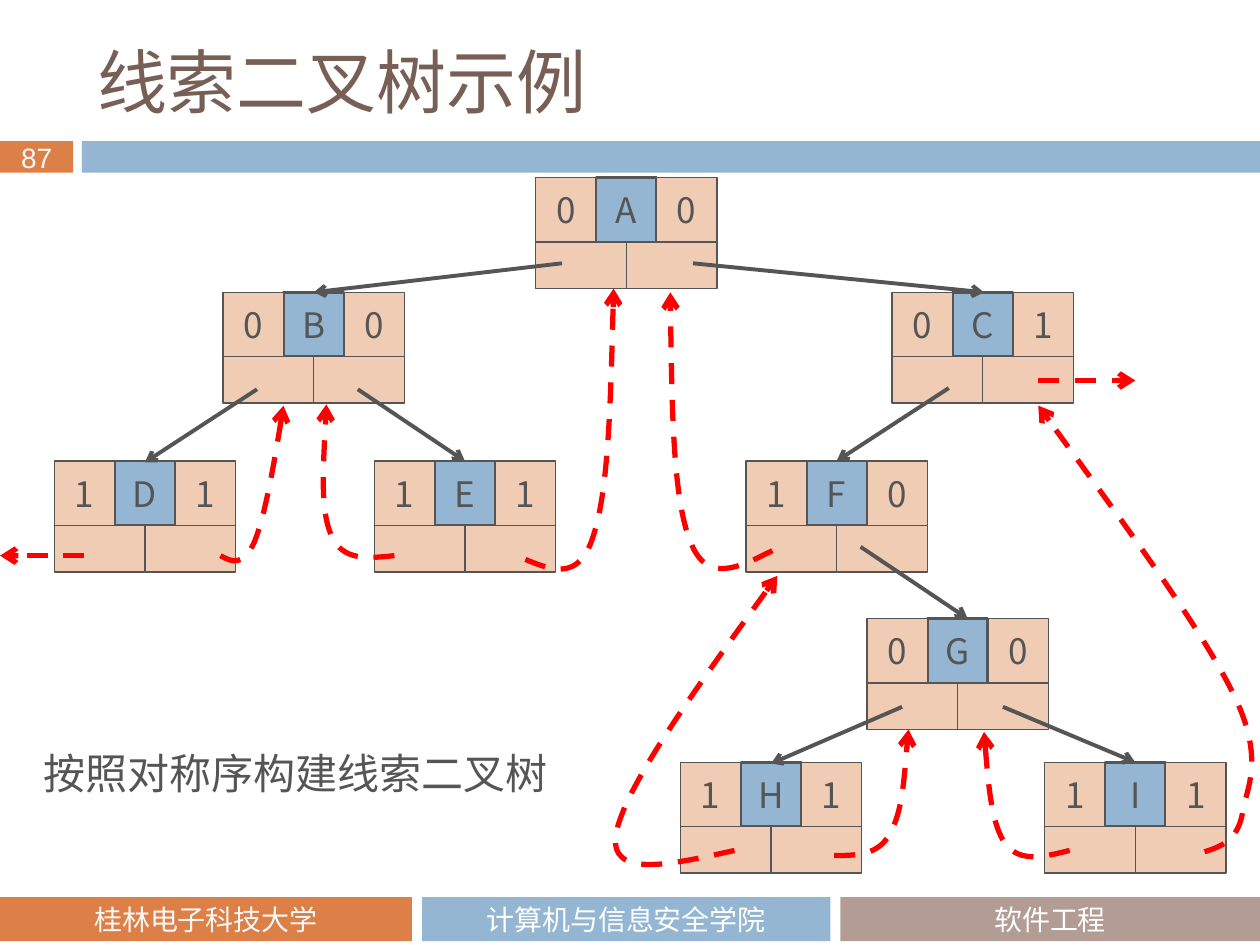
from typing import NamedTuple

from lxml import etree
from pptx import Presentation
from pptx.dml.color import RGBColor
from pptx.enum.dml import MSO_LINE
from pptx.enum.shapes import MSO_CONNECTOR, MSO_SHAPE
from pptx.enum.text import MSO_ANCHOR, MSO_AUTO_SIZE, PP_ALIGN
from pptx.oxml.ns import qn
from pptx.util import Inches, Pt

RECTANGLE = MSO_SHAPE.RECTANGLE
STRAIGHT = MSO_CONNECTOR.STRAIGHT
DASH = MSO_LINE.DASH
MIDDLE = MSO_ANCHOR.MIDDLE
LEFT, CENTER = PP_ALIGN.LEFT, PP_ALIGN.CENTER
NO_AUTOFIT = MSO_AUTO_SIZE.NONE

ORANGE = RGBColor(0xDD, 0x80, 0x47)
BLUE = RGBColor(0x94, 0xB6, 0xD2)
TAUPE = RGBColor(0xB2, 0x9C, 0x93)
PEACH = RGBColor(0xF1, 0xCC, 0xB5)
GRAY = RGBColor(0x55, 0x55, 0x55)
BROWN = RGBColor(0x77, 0x5F, 0x55)
RED = RGBColor(0xFF, 0x00, 0x00)
WHITE = RGBColor(0xFF, 0xFF, 0xFF)
OFF_WHITE = RGBColor(0xF9, 0xF9, 0xF9)

TAG_W, TAG_H = 0.48, 0.51
LINK_W, LINK_H = 0.72, 0.37

Point = tuple[float, float]


class TextStyle(NamedTuple):
    font: str
    size: float
    color: RGBColor
    align: PP_ALIGN = CENTER


class Bar(NamedTuple):
    left: float
    top: float
    width: float
    height: float
    fill: RGBColor
    text: str = ""
    style: TextStyle | None = None


class Node(NamedTuple):
    """A tree node: left tag, key and right tag above two link fields."""
    key: str
    left: float
    top: float
    left_tag: str
    right_tag: str


class Arrow(NamedTuple):
    start: Point
    end: Point


class Thread(NamedTuple):
    """A curved thread: a start and three Bezier points per segment."""
    start: Point
    curve: list[Point]


TITLE_STYLE = TextStyle("Noto Sans CJK JP", 40, BROWN, LEFT)
CAPTION_STYLE = TextStyle("Noto Sans CJK SC", 24, GRAY, LEFT)
NODE_STYLE = TextStyle("Noto Sans CJK SC", 20, GRAY)
FOOTER_STYLE = TextStyle("Calibri", 16, WHITE)

BARS = [
    Bar(0, 1.12, 0.58, 0.25, ORANGE, "87", TextStyle("Arial", 16, OFF_WHITE)),
    Bar(0.65, 1.12, 9.35, 0.25, BLUE),
    Bar(0, 7.12, 3.27, 0.35, ORANGE, "桂林电子科技大学",
        FOOTER_STYLE._replace(color=OFF_WHITE)),
    Bar(3.35, 7.12, 3.24, 0.35, BLUE, "计算机与信息安全学院", FOOTER_STYLE),
    Bar(6.67, 7.12, 3.33, 0.35, TAUPE, "软件工程", FOOTER_STYLE),
]
NODES = [
    Node("A", 4.25, 1.41, "0", "0"),
    Node("B", 1.77, 2.32, "0", "0"),
    Node("C", 7.08, 2.32, "0", "1"),
    Node("D", 0.43, 3.66, "1", "1"),
    Node("E", 2.97, 3.66, "1", "1"),
    Node("F", 5.92, 3.66, "1", "0"),
    Node("G", 6.88, 4.91, "0", "0"),
    Node("H", 5.4, 6.05, "1", "1"),
    Node("I", 8.29, 6.05, "1", "1"),
]
CHILD_LINKS = [
    Arrow((4.46, 2.09), (2.49, 2.32)),
    Arrow((5.5, 2.09), (7.81, 2.32)),
    Arrow((7.53, 3.08), (6.64, 3.66)),
    Arrow((2.04, 3.09), (1.15, 3.67)),
    Arrow((7.16, 5.61), (6.12, 6.06)),
    Arrow((2.84, 3.09), (3.69, 3.66)),
    Arrow((6.83, 4.34), (7.68, 4.91)),
    Arrow((7.96, 5.61), (9.01, 6.05)),
]
END_THREADS = [
    Arrow((0.67, 4.41), (0, 4.41)),
    Arrow((8.24, 3.02), (9.01, 3.02)),
]
THREADS = [
    Thread((3.13, 4.41), [(2.93, 4.43), (2.72, 4.46), (2.63, 4.25),
                          (2.54, 4.05), (2.57, 3.63), (2.59, 3.21)]),
    Thread((1.75, 4.41), [(1.84, 4.46), (1.93, 4.5), (2.02, 4.3),
                          (2.1, 4.1), (2.18, 3.66), (2.25, 3.22)]),
    Thread((4.17, 4.44), [(4.39, 4.53), (4.6, 4.61), (4.71, 4.25),
                          (4.83, 3.89), (4.85, 3.09), (4.87, 2.29)]),
    Thread((6.13, 4.37), [(5.87, 4.5), (5.61, 4.64), (5.48, 4.3),
                          (5.34, 3.96), (5.33, 3.14), (5.32, 2.32)]),
    Thread((5.83, 6.75), [(5.33, 6.86), (4.83, 6.98), (4.89, 6.62),
                          (4.95, 6.26), (5.56, 5.41), (6.17, 4.57)]),
    Thread((6.62, 6.79), [(6.79, 6.79), (6.97, 6.79), (7.06, 6.62),
                          (7.16, 6.45), (7.18, 6.12), (7.21, 5.79)]),
    Thread((8.49, 6.75), [(8.29, 6.8), (8.1, 6.85), (7.98, 6.7),
                          (7.87, 6.54), (7.84, 6.18), (7.81, 5.81)]),
    Thread((9.56, 6.76), [(9.69, 6.72), (9.82, 6.67), (9.86, 6.46),
                          (9.89, 6.25), (10.05, 6.03), (9.78, 5.49),
                          (9.51, 4.95), (8.87, 4.09), (8.24, 3.22)]),
]


def set_text(frame, text: str, style: TextStyle, **frame_format) -> None:
    settings = {"vertical_anchor": MIDDLE, "auto_size": NO_AUTOFIT} | frame_format
    for name, value in settings.items():
        setattr(frame, name, value)
    paragraph = frame.paragraphs[0]
    paragraph.alignment = style.align
    run = paragraph.add_run()
    run.text = text
    for name, value in {"name": style.font, "size": Pt(style.size), "bold": False}.items():
        setattr(run.font, name, value)
    run.font.color.rgb = style.color
    latin = run.font._element.find(qn("a:latin"))
    latin.addnext(latin.makeelement(qn("a:ea"), {"typeface": style.font}))


def add_box(shapes, left: float, top: float, width: float, height: float,
            fill: RGBColor, text: str = "", style: TextStyle | None = None,
            border: float = 0) -> None:
    box = shapes.add_shape(RECTANGLE, *map(Inches, (left, top, width, height)))
    box.shadow.inherit = False
    box.fill.solid()
    box.fill.fore_color.rgb = fill
    if border:
        box.line.color.rgb = GRAY
        box.line.width = Pt(border)
    else:
        box.line.fill.background()
    if style:
        set_text(box.text_frame, text, style, margin_top=0, margin_bottom=0)


def add_node(shapes, node: Node) -> None:
    cells = [(1, node.key, BLUE, 1.5), (2, node.right_tag, PEACH, 0.75),
             (0, node.left_tag, PEACH, 0.75)]
    for column, text, fill, border in cells:
        add_box(shapes, node.left + column * TAG_W, node.top, TAG_W, TAG_H,
                fill, text, NODE_STYLE, border)
    for column in range(2):
        add_box(shapes, node.left + column * LINK_W, node.top + TAG_H,
                LINK_W, LINK_H, PEACH, border=0.75)


def format_arrow(line, color: RGBColor, width: float, dash=None) -> None:
    line.color.rgb = color
    line.width = Pt(width)
    line.dash_style = dash
    etree.SubElement(line._get_or_add_ln(), qn("a:tailEnd"), type="arrow")


def add_arrow(shapes, arrow: Arrow, color: RGBColor, width: float, dash=None) -> None:
    ends = map(Inches, arrow.start + arrow.end)
    connector = shapes.add_connector(STRAIGHT, *ends)
    format_arrow(connector.line, color, width, dash)
    etree.SubElement(connector._element.spPr, qn("a:effectLst"))


def add_thread(shapes, thread: Thread) -> None:
    builder = shapes.build_freeform(*map(Inches, thread.start))
    builder.add_line_segments([tuple(map(Inches, point)) for point in thread.curve],
                              close=False)
    curve = builder.convert_to_shape()
    curve.shadow.inherit = False
    curve.fill.background()
    format_arrow(curve.line, RED, 3, DASH)
    outline = next(curve._element.iter(qn("a:path")))
    segments = outline.findall(qn("a:lnTo"))
    for first in range(0, len(segments), 3):
        bezier = etree.SubElement(outline, qn("a:cubicBezTo"))
        for segment in segments[first:first + 3]:
            bezier.append(segment[0])
            outline.remove(segment)


def main() -> None:
    deck = Presentation()
    deck.slide_width, deck.slide_height = Inches(10), Inches(7.5)
    slide = deck.slides.add_slide(deck.slide_layouts.get_by_name("Title Only"))
    shapes = slide.shapes

    title_box = {"left": 0.67, "top": 0.25, "width": 8.92, "height": 0.78}
    for name, value in title_box.items():
        setattr(shapes.title, name, Inches(value))
    set_text(shapes.title.text_frame, "线索二叉树示例", TITLE_STYLE)

    for bar in BARS:
        add_box(shapes, *bar)
    for node in NODES:
        add_node(shapes, node)
    for link in CHILD_LINKS:
        add_arrow(shapes, link, GRAY, 2.25)
    caption = shapes.add_textbox(*map(Inches, (0.25, 5.88, 4.24, 0.5)))
    set_text(caption.text_frame, "按照对称序构建线索二叉树", CAPTION_STYLE, word_wrap=False)
    for end_thread in END_THREADS:
        add_arrow(shapes, end_thread, RED, 3, DASH)
    for thread in THREADS:
        add_thread(shapes, thread)

    deck.save("out.pptx")


if __name__ == "__main__":
    main()
